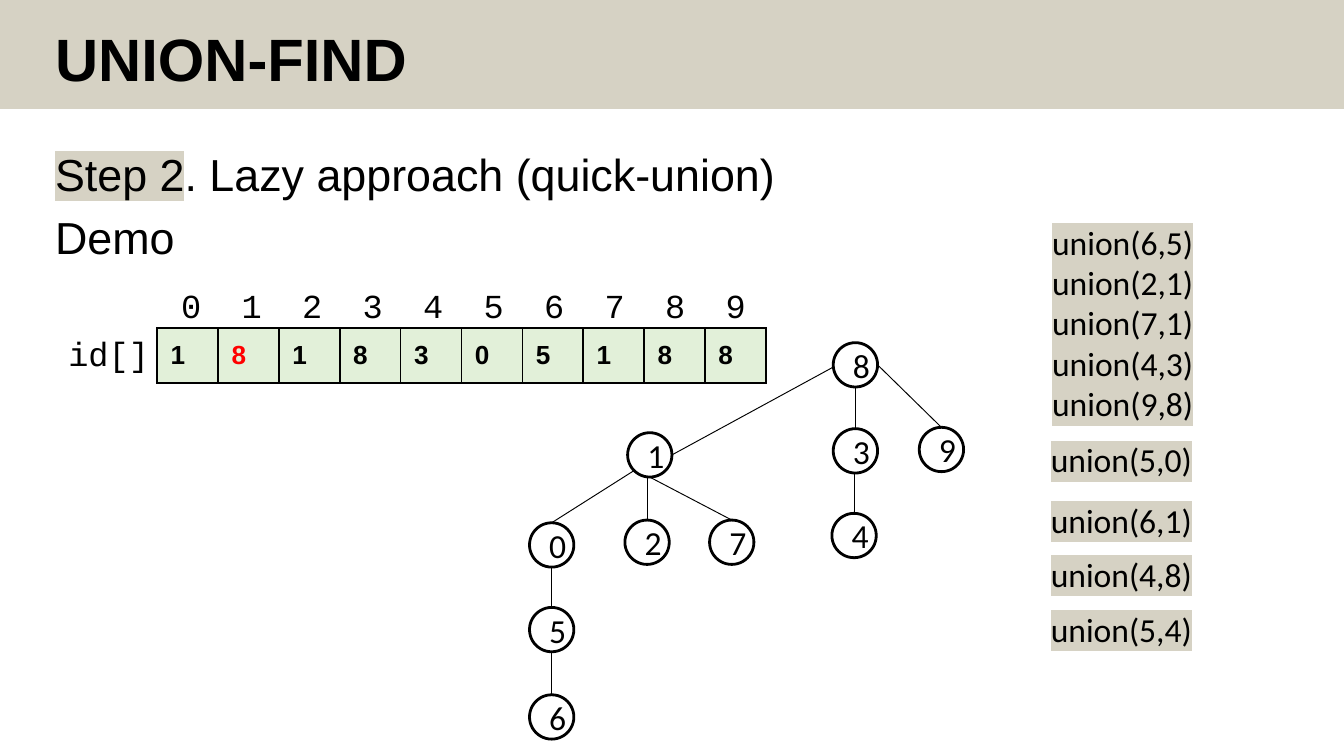
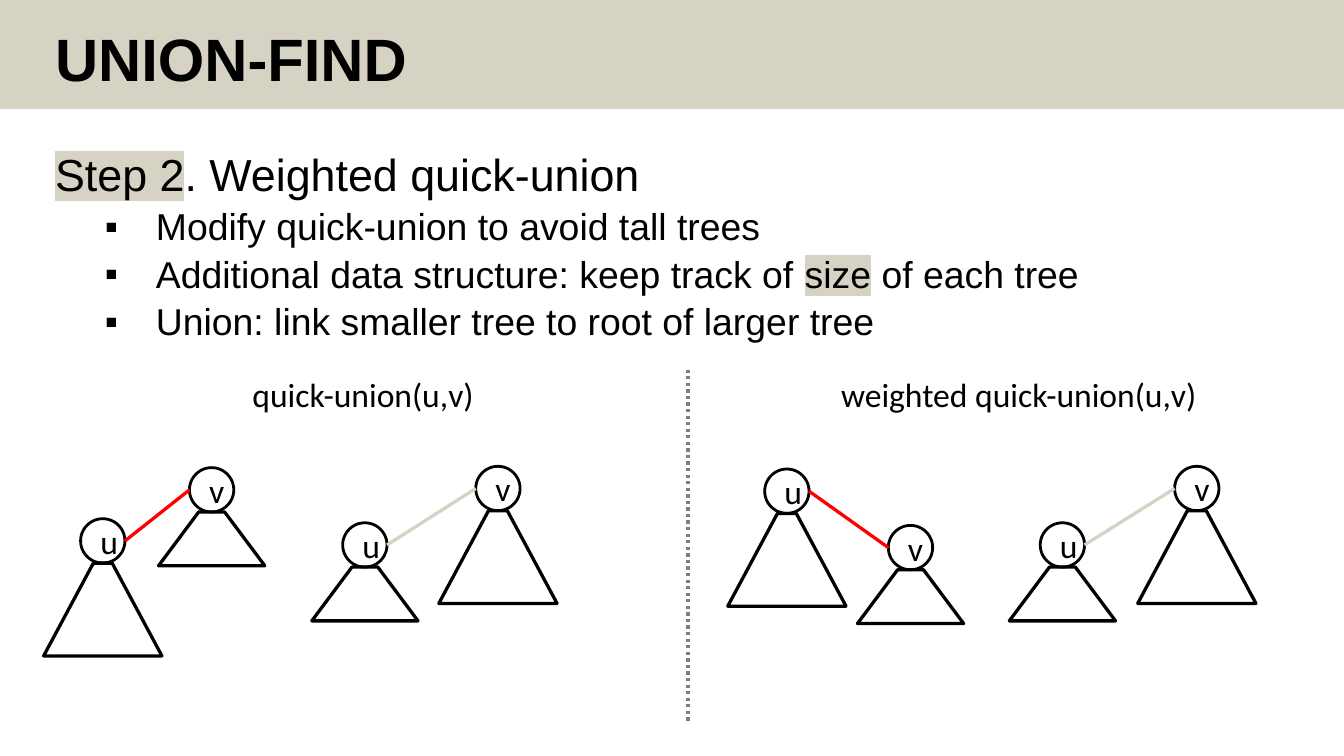
from pptx import Presentation
from pptx.dml.color import RGBColor
from pptx.enum.dml import MSO_LINE
from pptx.enum.shapes import MSO_CONNECTOR, MSO_SHAPE
from pptx.enum.text import MSO_ANCHOR, MSO_AUTO_SIZE, PP_ALIGN
from pptx.oxml.ns import qn
from pptx.util import Inches, Pt
from lxml import etree

STRAIGHT = MSO_CONNECTOR.STRAIGHT
RECTANGLE, CIRCLE, TRAPEZOID = MSO_SHAPE.RECTANGLE, MSO_SHAPE.OVAL, MSO_SHAPE.TRAPEZOID
DOTTED = MSO_LINE.ROUND_DOT
MIDDLE, TOP = MSO_ANCHOR.MIDDLE, MSO_ANCHOR.TOP
LEFT, CENTER = PP_ALIGN.LEFT, PP_ALIGN.CENTER
FIXED, GROW = MSO_AUTO_SIZE.NONE, MSO_AUTO_SIZE.SHAPE_TO_FIT_TEXT

SLIDE_WIDTH = Inches(10)
SLIDE_HEIGHT = SLIDE_WIDTH * 9 // 16
COLORS = {
    "ink": "000000",
    "sand": "D6D2C4",
    "mint": "E2F0D9",
    "red": "FF0000",
    "grey": "808080",
}
FONTS = {
    "title": {"name": "Arial", "size": Pt(32), "bold": True},
    "lead": {"name": "Arial", "size": Pt(24), "bold": False},
    "bullet": {"name": "Arial", "size": Pt(20), "bold": False},
    "cell": {"name": "Arial", "size": Pt(14), "bold": True},
    "label": {"name": "Calibri", "size": Pt(18), "bold": False},
    "code": {"name": "Courier New", "size": Pt(18), "bold": False},
}
PARAGRAPHS = {
    "lead": {"level": 0, "line_spacing": 0.9, "alignment": LEFT},
    "bullet": {"level": 1, "line_spacing": 0.9, "alignment": LEFT},
}
SPACE_BEFORE = {"lead": Pt(7.5), "bullet": Pt(3.8)}
NODE = 0.33
SUBTREES = {"tall": (0.88, 0.69, 0.536), "short": (0.79, 0.4, 0.747)}


def rgb(color):
    return RGBColor.from_string(COLORS[color])


def apply(target, values):
    for attribute, value in values.items():
        setattr(target, attribute, value)


def add_element(parent, tag, **attributes):
    return etree.SubElement(parent, qn(tag), attributes)


def add_run(paragraph, text, style, color="ink", marked=False):
    run = paragraph.add_run()
    run.text = text
    apply(run.font, FONTS[style])
    run.font.color.rgb = rgb(color)
    if marked:
        properties = run.font._element
        highlight = etree.Element(qn("a:highlight"))
        add_element(highlight, "a:srgbClr", val=COLORS["sand"])
        properties.find(qn("a:solidFill")).addnext(highlight)


def place(shape, left, top, width, height):
    apply(shape, {"left": Inches(left), "top": Inches(top),
                  "width": Inches(width), "height": Inches(height)})


def add_outline(slide, preset, left, top, width, height, weight):
    shape = slide.shapes.add_shape(
        preset, Inches(left), Inches(top), Inches(width), Inches(height))
    shape.shadow.inherit = False
    shape.fill.background()
    shape.line.color.rgb = rgb("ink")
    shape.line.width = Pt(weight)
    return shape


def add_line(slide, start, end, color, weight):
    line = slide.shapes.add_connector(
        STRAIGHT, *(Inches(value) for value in (*start, *end)))
    line.line.color.rgb = rgb(color)
    line.line.width = Pt(weight)
    add_element(line._element.spPr, "a:effectLst")
    return line


def add_node(slide, text, left, top):
    node = add_outline(slide, CIRCLE, left, top, NODE, NODE, 1.5)
    node.text_frame.vertical_anchor = MIDDLE
    paragraph = node.text_frame.paragraphs[0]
    paragraph.alignment = CENTER
    add_run(paragraph, text, "label")


def add_label(slide, lines, left, top, width, height, style="label", marked=False):
    label = slide.shapes.add_textbox(
        Inches(left), Inches(top), Inches(width), Inches(height))
    frame = label.text_frame
    apply(frame, {"word_wrap": False, "auto_size": GROW})
    for index, text in enumerate(lines):
        paragraph = frame.add_paragraph() if index else frame.paragraphs[0]
        add_run(paragraph, text, style, marked=marked)
    return label


def add_header(slide, title):
    band = slide.shapes.add_shape(RECTANGLE, 0, 0, SLIDE_WIDTH, Inches(0.81))
    band.shadow.inherit = False
    band.fill.solid()
    band.fill.fore_color.rgb = rgb("sand")
    band.line.fill.background()
    slide.shapes._spTree.insert(2, band._element)
    heading = slide.shapes.title
    place(heading, 0.31, 0.17, 8.62, 0.64)
    apply(heading.text_frame, {"vertical_anchor": TOP, "auto_size": FIXED})
    paragraph = heading.text_frame.paragraphs[0]
    apply(paragraph, {"alignment": LEFT, "line_spacing": 0.9})
    add_run(paragraph, title, "title")


def add_body(slide, entries):
    body = slide.placeholders[1]
    place(body, 0.31, 1.09, 9.14, 4.1)
    frame = body.text_frame
    apply(frame, {"vertical_anchor": TOP, "auto_size": FIXED})
    for index, (style, runs) in enumerate(entries):
        paragraph = frame.add_paragraph() if index else frame.paragraphs[0]
        properties = paragraph._p.get_or_add_pPr()
        bulleted = style == "bullet"
        properties.set("marL", str(Inches(0.75 if bulleted else 0)))
        properties.set("indent", str(Inches(-0.38 if bulleted else 0)))
        if bulleted:
            add_element(properties, "a:buFont", typeface="Arial")
            add_element(properties, "a:buChar", char="▪")
        else:
            add_element(properties, "a:buNone")
        apply(paragraph, PARAGRAPHS[style])
        paragraph.space_before = SPACE_BEFORE[style] if index else Pt(0)
        for text, marked in runs:
            add_run(paragraph, text, style, marked=marked)


def start_slide(deck, entries):
    slide = deck.slides.add_slide(deck.slide_layouts[1])
    add_header(slide, "UNION-FIND")
    add_body(slide, entries)
    return slide


def add_cell_borders(cell):
    properties = cell._tc.get_or_add_tcPr()
    for side in ("a:lnL", "a:lnR", "a:lnT", "a:lnB"):
        border = add_element(properties, side, w=str(Pt(1)))
        fill = add_element(border, "a:solidFill")
        add_element(fill, "a:srgbClr", val=COLORS["ink"])


def add_id_array(slide, left, top, parents, changed):
    pitch = 0.45
    count = len(parents)
    table = slide.shapes.add_table(
        1, count, Inches(left + 0.76), Inches(top + 0.37),
        Inches(4.53), Inches(0.41)).table
    apply(table, {"first_row": False, "horz_banding": False})
    for index, parent in enumerate(parents):
        cell = table.cell(0, index)
        add_cell_borders(cell)
        cell.fill.solid()
        cell.fill.fore_color.rgb = rgb("mint")
        cell.vertical_anchor = MIDDLE
        add_run(cell.text_frame.paragraphs[0], str(parent), "cell",
                "red" if index == changed else "ink")
    add_label(slide, ["id[]"], left, top + 0.36, 0.81, 0.4, "code")
    indices = add_label(slide, ["\t".join(str(i) for i in range(count))],
                        left + 0.84, top, 4.72, 0.4, "code")
    properties = indices.text_frame.paragraphs[0]._p.get_or_add_pPr()
    tabs = add_element(properties, "a:tabLst")
    for index in range(1, count):
        add_element(tabs, "a:tab", pos=str(Inches(pitch * index)), algn="l")


def add_forest(slide, left, top):
    nodes = {
        "0": (0, 1.34), "1": (0.73, 0.67), "4": (2.25, 1.27), "2": (0.71, 1.32),
        "3": (2.26, 0.64), "5": (0, 1.97), "6": (0, 2.62), "9": (2.9, 0.63),
        "7": (1.34, 1.32), "8": (2.26, 0),
    }
    above, below, west, east = (0.5, 0), (0.5, 1), (0, 0.55), (1, 0.5)
    edges = [
        ("5", below, "6", above), ("1", (0.44, 1), "2", above),
        ("8", below, "3", above), ("3", (0.47, 1), "4", above),
        ("1", below, "7", above), ("0", below, "5", above),
        ("1", (0.15, 0.85), "0", above), ("8", east, "9", above),
        ("8", west, "1", east),
    ]

    def anchor(name, fraction):
        x, y = nodes[name]
        return left + x + NODE * fraction[0], top + y + NODE * fraction[1]

    for name, (x, y) in nodes.items():
        add_node(slide, name, left + x, top + y)
    for parent, leaving, child, entering in edges:
        add_line(slide, anchor(parent, leaving), anchor(child, entering), "ink", 0.5)


def add_union_calls(slide, left, top):
    add_label(slide, ["union(6,5)", "union(2,1)", "union(7,1)", "union(4,3)", "union(9,8)"],
              left, top, 1.29, 1.62, marked=True)
    later_calls = {"union(5,0)": 1.62, "union(6,1)": 2.07,
                   "union(4,8)": 2.47, "union(5,4)": 2.88}
    for call, offset in later_calls.items():
        add_label(slide, [call], left - 0.01, top + offset, 1.27, 0.4, marked=True)


def add_linked_trees(slide, left, top, roots, link_color):
    (u_x, u_y, _), (v_x, v_y, _) = roots
    for name, (x, y, subtree) in zip("uv", roots):
        width, height, slant = SUBTREES[subtree]
        add_node(slide, name, left + x, top + y)
        triangle = add_outline(slide, TRAPEZOID, left + x + (NODE - width) / 2,
                               top + y + NODE, width, height, 1.75)
        triangle.adjustments[0] = slant
    add_line(slide, (left + u_x + NODE, top + u_y + NODE / 2),
             (left + v_x, top + v_y + NODE / 2), link_color, 1.75)


def add_strategy(slide, left, top, heading, heading_left, heading_width, pairs):
    add_label(slide, [heading], left + heading_left, top, heading_width, 0.4)
    for roots, link_color in pairs:
        add_linked_trees(slide, left, top, roots, link_color)


def build_demo(deck):
    slide = start_slide(deck, [
        ("lead", [("Step 2", True), (". Lazy approach (quick-union)", False)]),
        ("lead", [("Demo", False)]),
    ])
    add_forest(slide, 3.94, 2.55)
    add_id_array(slide, 0.41, 2.07, [1, 8, 1, 8, 3, 0, 5, 1, 8, 8], changed=1)
    add_union_calls(slide, 7.73, 1.6)


def build_weighted(deck):
    slide = start_slide(deck, [
        ("lead", [("Step 2", True), (". Weighted quick-union", False)]),
        ("bullet", [("Modify quick-union to avoid tall trees", False)]),
        ("bullet", [("Additional data structure: keep track of ", False),
                    ("size", True), (" of each tree", False)]),
        ("bullet", [("Union: link smaller tree to root of larger tree", False)]),
    ])
    add_strategy(slide, 0.3, 2.73, "quick-union(u,v)", 1.48, 1.87, [
        (((0.3, 1.13, "tall"), (1.11, 0.75, "short")), "red"),
        (((2.25, 1.16, "short"), (3.24, 0.74, "tall")), "sand"),
    ])
    divider = add_line(slide, (5.12, 2.75), (5.12, 5.37), "grey", 1.75)
    divider.line.dash_style = DOTTED
    add_strategy(slide, 5.41, 2.73, "weighted quick-union(u,v)", 0.75, 2.88, [
        (((0.28, 0.76, "tall"), (1.2, 1.18, "short")), "red"),
        (((2.33, 1.16, "short"), (3.33, 0.74, "tall")), "sand"),
    ])


def main():
    deck = Presentation()
    apply(deck, {"slide_width": SLIDE_WIDTH, "slide_height": SLIDE_HEIGHT})
    build_demo(deck)
    build_weighted(deck)
    deck.save("out.pptx")


if __name__ == "__main__":
    main()
